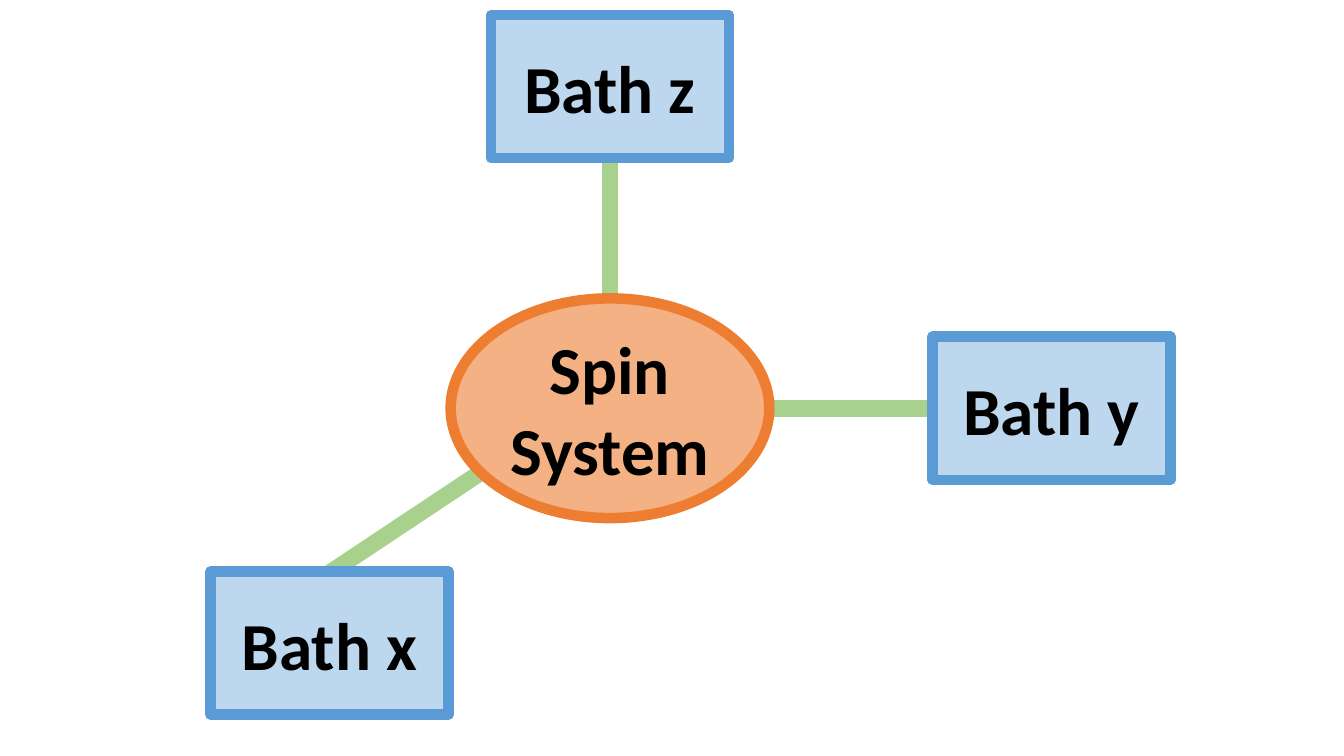
import dataclasses

import pptx
import pptx.dml.color
import pptx.enum.shapes
import pptx.enum.text
import pptx.oxml.xmlchemy
import pptx.util

PX = 9144  # EMU per px, 100 px to the inch
SHAPE = pptx.enum.shapes.MSO_SHAPE


@dataclasses.dataclass(frozen=True)
class Theme:
    font: str = "Calibri"
    label_size: int = 48
    text: str = "000000"
    bath_fill: str = "BDD7EE"
    bath_line: str = "5B9BD5"
    system_fill: str = "F4B183"
    system_line: str = "ED7D31"
    coupling: str = "A9D18E"
    outline_width: float = 7.5


def color(value):
    return pptx.dml.color.RGBColor.from_string(value)


class Diagram:
    def __init__(self, slide, theme):
        self.slide = slide
        self.theme = theme

    def coupling(self, start, end, width=12):
        points = [pptx.util.Emu(value * PX) for value in (*start, *end)]
        connector = self.slide.shapes.add_connector(
            pptx.enum.shapes.MSO_CONNECTOR.STRAIGHT, *points)
        connector.line.color.rgb = color(self.theme.coupling)
        connector.line.width = pptx.util.Pt(width)
        connector._element.spPr.append(
            pptx.oxml.xmlchemy.OxmlElement("a:effectLst"))
        return connector

    def node(self, kind, left, top, width, height, label, fill, outline):
        bounds = [pptx.util.Emu(value * PX) for value in (left, top, width, height)]
        shape = self.slide.shapes.add_shape(kind, *bounds)
        shape.shadow.inherit = False
        shape.fill.solid()
        shape.fill.fore_color.rgb = color(fill)
        shape.line.color.rgb = color(outline)
        shape.line.width = pptx.util.Pt(self.theme.outline_width)

        frame = shape.text_frame
        frame.word_wrap = True
        frame.vertical_anchor = pptx.enum.text.MSO_ANCHOR.MIDDLE
        paragraph = frame.paragraphs[0]
        paragraph.alignment = pptx.enum.text.PP_ALIGN.CENTER
        run = paragraph.add_run()
        run.text = label
        run.font.name = self.theme.font
        run.font.size = pptx.util.Pt(self.theme.label_size)
        run.font.bold = True
        run.font.color.rgb = color(self.theme.text)
        return shape

    def bath(self, left, top, label):
        return self.node(SHAPE.RECTANGLE, left, top, 236, 142, label,
                         self.theme.bath_fill, self.theme.bath_line)

    def system(self, left, top, width, height, label):
        return self.node(SHAPE.OVAL, left, top, width, height, label,
                         self.theme.system_fill, self.theme.system_line)


def main():
    presentation = pptx.Presentation()
    presentation.slide_width = pptx.util.Emu(1333 * PX)
    presentation.slide_height = pptx.util.Emu(750 * PX)
    slide = presentation.slides.add_slide(presentation.slide_layouts[6])
    diagram = Diagram(slide, Theme())

    # Couplings lie behind the nodes
    coupling_y = diagram.coupling((763, 405), (925, 405))
    coupling_z = diagram.coupling((605, 297), (605, 157), width=11.5)
    diagram.coupling((487, 462), (311, 579))

    # Central system and its three baths
    diagram.system(447, 296, 316, 218, "Spin System")
    bath_z = diagram.bath(487, 15, "Bath z")
    bath_y = diagram.bath(925, 334, "Bath y")
    diagram.bath(209, 567, "Bath x")

    # Join the couplings that end at the middle of a side
    coupling_y.end_connect(bath_y, 1)
    coupling_z.end_connect(bath_z, 2)

    presentation.save("out.pptx")


if __name__ == "__main__":
    main()
